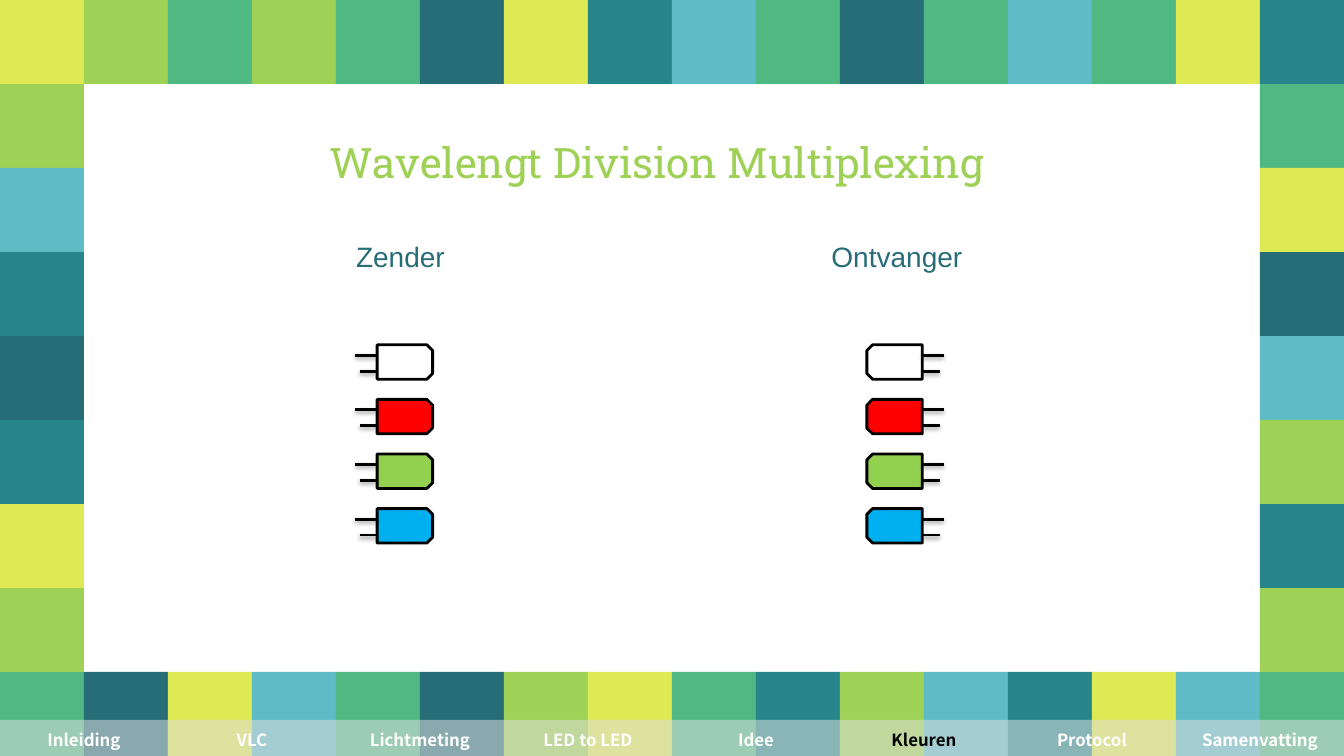
from lxml.etree import SubElement
from pptx import Presentation
from pptx.dml.color import RGBColor
from pptx.enum.shapes import MSO_CONNECTOR, MSO_SHAPE
from pptx.enum.text import MSO_ANCHOR, MSO_AUTO_SIZE, PP_ALIGN
from pptx.oxml.ns import qn
from pptx.util import Inches, Pt

COLUMNS, ROWS = 16, 9
SLIDE_WIDTH, SLIDE_HEIGHT = Inches(13.33), Inches(7.5)

LIME = RGBColor(0x9E, 0xD1, 0x55)
DARK = RGBColor(0x26, 0x6D, 0x78)
YELLOW = RGBColor(0xDF, 0xE9, 0x54)
GREEN = RGBColor(0x50, 0xB8, 0x83)
TEAL = RGBColor(0x27, 0x86, 0x8B)
SKY = RGBColor(0x5F, 0xBB, 0xC5)
WHITE = RGBColor(0xFF, 0xFF, 0xFF)
BLACK = RGBColor(0x00, 0x00, 0x00)
BAR_GRAY = RGBColor(0xDD, 0xDD, 0xDD)
LED_COLORS = [
    WHITE,
    RGBColor(0xFF, 0x00, 0x00),
    RGBColor(0x92, 0xD0, 0x50),
    RGBColor(0x00, 0xB0, 0xF0),
]

TILE_COLORS = {"L": LIME, "D": DARK, "Y": YELLOW, "G": GREEN, "T": TEAL, "S": SKY}
TOP_TILES = "YLGLGDYTSGDGSGYT"
BOTTOM_TILES = "GDYSGDLYGTLSTYSG"
LEFT_TILES = "LSTDTYL"
RIGHT_TILES = "GYDSLTL"

SECTIONS = ["Inleiding", "VLC", "Lichtmeting", "LED to LED",
            "Idee", "Kleuren", "Protocol", "Samenvatting"]
CURRENT_SECTION = "Kleuren"
NO_TABLE_STYLE = "{2D5ABB26-0587-4C30-8999-92F81FD0307C}"

LED_LENGTH, LED_THICKNESS = 0.66, 0.41
FIRST_LED_ROW, LED_PITCH = 4.31, 0.65
PINS = [(-0.08, 0.26), (0.11, 0.21)]  # offset from the LED's axis, length


def across(columns):
    return round(SLIDE_WIDTH * columns / COLUMNS)


def down(rows):
    return round(SLIDE_HEIGHT * rows / ROWS)


def box(column, row, width, height):
    """Turn grid units into left, top, width and height."""
    return across(column), down(row), across(width), down(height)


def write(text_frame, text, font, size, color, bold=False, align=PP_ALIGN.LEFT, indent=None):
    text_frame.word_wrap = True
    paragraph = text_frame.paragraphs[0]
    paragraph.text = text
    paragraph.alignment = align
    if indent is not None:
        properties = paragraph._p.get_or_add_pPr()
        properties.set("marL", str(indent))
        properties.set("indent", "0")
    paragraph.font.name = font
    paragraph.font.size = Pt(size)
    paragraph.font.bold = bold
    paragraph.font.color.rgb = color


def set_insets(text_frame):
    text_frame.margin_left = text_frame.margin_right = Inches(0.1)
    text_frame.margin_top = text_frame.margin_bottom = Inches(0.1)


def add_title(slide, text):
    title = slide.shapes.title
    title.left, title.top, title.width, title.height = box(2.22, 0.85, 11.21, 1.5)
    frame = title.text_frame
    frame.auto_size = MSO_AUTO_SIZE.NONE
    frame.vertical_anchor = MSO_ANCHOR.BOTTOM
    set_insets(frame)
    write(frame, text, "Roboto Slab", 30, LIME, align=PP_ALIGN.CENTER)


def add_heading(slide, text, column):
    frame = slide.shapes.add_textbox(*box(column, 2.73, 2.4, 0.65)).text_frame
    set_insets(frame)
    write(frame, text, "Arial", 20, DARK, indent=Inches(0.15))


def add_tile(slide, column, row, color):
    tile = slide.shapes.add_shape(MSO_SHAPE.RECTANGLE, *box(column, row, 1, 1))
    tile.shadow.inherit = False
    tile.fill.solid()
    tile.fill.fore_color.rgb = color
    tile.line.fill.background()


def add_frame(slide):
    """Lay the coloured tiles around the edge of the slide."""
    for row, letters in ((0, TOP_TILES), (ROWS - 1, BOTTOM_TILES)):
        for column, letter in enumerate(letters):
            add_tile(slide, column, row, TILE_COLORS[letter])
    for column, letters in ((0, LEFT_TILES), (COLUMNS - 1, RIGHT_TILES)):
        for row, letter in enumerate(letters, start=1):
            add_tile(slide, column, row, TILE_COLORS[letter])


def add_drop_shadow(connector):
    effects = SubElement(connector._element.spPr, qn("a:effectLst"))
    shadow = SubElement(effects, qn("a:outerShdw"), blurRad="40000", dist="20000",
                        dir="5400000", rotWithShape="0")
    color = SubElement(shadow, qn("a:srgbClr"), val="000000")
    SubElement(color, qn("a:alpha"), val="38000")


def add_pin(slide, start, end, row):
    pin = slide.shapes.add_connector(
        MSO_CONNECTOR.STRAIGHT, across(start), down(row), across(end), down(row))
    pin.line.color.rgb = BLACK
    pin.line.width = Pt(2)
    add_drop_shadow(pin)


def add_led(slide, column, axis_row, color, facing_right):
    """Draw an LED whose snipped end points right or left, with two pins behind it."""
    body = slide.shapes.add_shape(
        MSO_SHAPE.SNIP_2_SAME_RECTANGLE,
        *box(column + (LED_LENGTH - LED_THICKNESS) / 2, axis_row - LED_LENGTH / 2,
             LED_THICKNESS, LED_LENGTH))
    body.rotation = 90 if facing_right else 270
    body.shadow.inherit = False
    body.fill.solid()
    body.fill.fore_color.rgb = color
    body.line.color.rgb = BLACK
    body.line.width = Pt(2)
    for offset, length in PINS:
        if facing_right:
            add_pin(slide, column - length, column, axis_row + offset)
        else:
            back = column + LED_LENGTH
            add_pin(slide, back, back + length, axis_row + offset)


def add_led_column(slide, column, facing_right):
    for index, color in enumerate(LED_COLORS):
        add_led(slide, column, FIRST_LED_ROW + index * LED_PITCH, color, facing_right)


def add_section_bar(slide):
    table_frame = slide.shapes.add_table(1, len(SECTIONS), *box(0, 8.57, COLUMNS, 0.45))
    table = table_frame.table
    table._tbl.tblPr.find(qn("a:tableStyleId")).text = NO_TABLE_STYLE
    for cell, section in zip(table.rows[0].cells, SECTIONS):
        cell.vertical_anchor = MSO_ANCHOR.MIDDLE
        cell.fill.solid()
        cell.fill.fore_color.rgb = BAR_GRAY
        fill_color = cell._tc.tcPr.find(qn("a:solidFill"))[0]
        SubElement(fill_color, qn("a:alpha"), val="54000")
        color = BLACK if section == CURRENT_SECTION else WHITE
        write(cell.text_frame, section, "Noto Sans CJK KR", 12, color,
              bold=True, align=PP_ALIGN.CENTER)


def main():
    presentation = Presentation()
    presentation.slide_width, presentation.slide_height = SLIDE_WIDTH, SLIDE_HEIGHT
    slide = presentation.slides.add_slide(presentation.slide_layouts[5])
    add_frame(slide)
    add_title(slide, "Wavelengt Division Multiplexing")
    add_heading(slide, "Zender", 3.94)
    add_heading(slide, "Ontvanger", 9.6)
    add_led_column(slide, 4.49, facing_right=True)
    add_led_column(slide, 10.32, facing_right=False)
    add_section_bar(slide)
    presentation.save("out.pptx")


if __name__ == "__main__":
    main()
